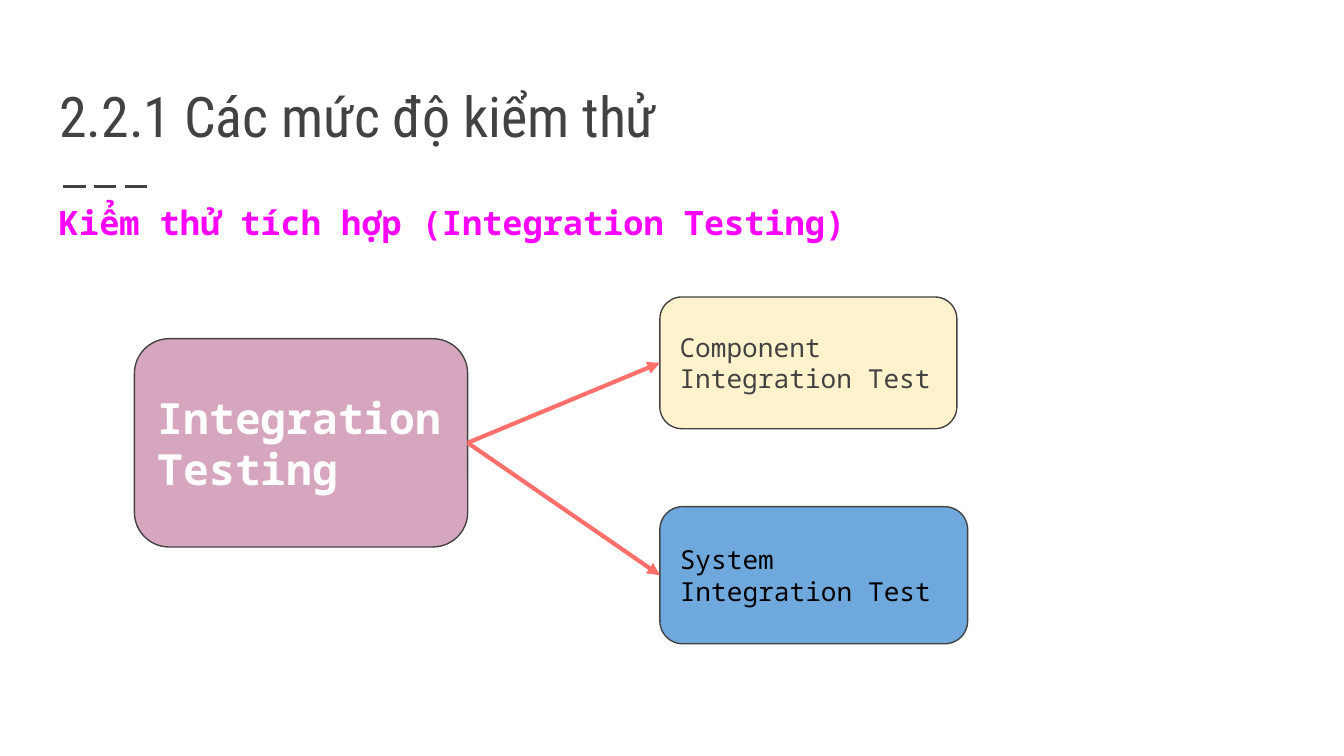
from lxml import etree
from pptx import Presentation
from pptx.dml.color import RGBColor
from pptx.enum.dml import MSO_LINE
from pptx.enum.shapes import MSO_CONNECTOR, MSO_SHAPE
from pptx.enum.text import MSO_ANCHOR, MSO_AUTO_SIZE, PP_ALIGN
from pptx.oxml.ns import qn
from pptx.util import Inches, Pt

STRAIGHT = MSO_CONNECTOR.STRAIGHT
ROUNDED = MSO_SHAPE.ROUNDED_RECTANGLE
LONG_DASH = MSO_LINE.LONG_DASH
TOP, MIDDLE, BOTTOM = MSO_ANCHOR.TOP, MSO_ANCHOR.MIDDLE, MSO_ANCHOR.BOTTOM
LEFT = PP_ALIGN.LEFT
NO_AUTOFIT = MSO_AUTO_SIZE.NONE

HEADING_FONT = "Roboto Condensed"
BODY_FONT = "Noto Sans Mono"
DARK = "424242"
CORAL = "FF706B"
LEFT_SIDE, RIGHT_SIDE = 1, 3


def rgb(value):
    """Turn a hex string into a colour."""
    return RGBColor.from_string(value)


def write_text(sp, text, size, color, anchor, font=BODY_FONT, bold=False):
    """Fill a shape with one left-aligned paragraph and return it."""
    tf = sp.text_frame
    tf.word_wrap = True
    tf.auto_size = NO_AUTOFIT
    tf.vertical_anchor = anchor
    tf.margin_left = tf.margin_right = Inches(0.1)
    tf.margin_top = tf.margin_bottom = Inches(0.1)
    p = tf.paragraphs[0]
    p.alignment = LEFT
    r = p.add_run()
    r.text = text
    r.font.name = font
    r.font.size = Pt(size)
    r.font.bold = bold
    r.font.color.rgb = rgb(color)
    return p


def set_title(s, text):
    """Place and format the title placeholder."""
    sp = s.shapes.title
    sp.left, sp.top = Inches(0.34), Inches(0.41)
    sp.width, sp.height = Inches(9.32), Inches(0.8)
    p = write_text(sp, text, 30, DARK, BOTTOM, font=HEADING_FONT)
    p.line_spacing = 1.0


def add_subtitle(s, text):
    """Add the highlighted line below the title."""
    sp = s.shapes.add_textbox(Inches(0.34), Inches(1.36), Inches(9.32), Inches(3.39))
    p = write_text(sp, text, 18, "FF00FF", TOP, bold=True)
    p.line_spacing = 1.15
    p.space_after = Pt(12)


def add_box(s, left, top, width, height, fill, text, size, color, bold=False):
    """Add a labelled rounded box."""
    sp = s.shapes.add_shape(
        ROUNDED, Inches(left), Inches(top), Inches(width), Inches(height)
    )
    sp.shadow.inherit = False
    sp.fill.solid()
    sp.fill.fore_color.rgb = rgb(fill)
    sp.line.color.rgb = rgb(DARK)
    sp.line.width = Pt(0.75)
    write_text(sp, text, size, color, MIDDLE, bold=bold)
    return sp


def add_line(s, x1, y1, x2, y2, color, width):
    """Add a straight line without a shadow."""
    line = s.shapes.add_connector(STRAIGHT, x1, y1, x2, y2)
    line.line.color.rgb = rgb(color)
    line.line.width = Pt(width)
    etree.SubElement(line._element.spPr, qn("a:effectLst"))
    return line


def add_arrow(s, source, target):
    """Join the right side of one box to the left side of another."""
    arrow = add_line(s, 0, 0, 0, 0, CORAL, 2.25)
    arrow.begin_connect(source, RIGHT_SIDE)
    arrow.end_connect(target, LEFT_SIDE)
    etree.SubElement(arrow.line._get_or_add_ln(), qn("a:tailEnd"), type="triangle")


def main():
    """Build the integration testing slide."""
    prs = Presentation()
    prs.slide_width = Inches(10)
    prs.slide_height = prs.slide_width * 9 // 16
    s = prs.slides.add_slide(prs.slide_layouts[5])

    rule = add_line(s, Inches(0.47), Inches(1.39), Inches(1.14), Inches(1.39), DARK, 1.5)
    rule.line.dash_style = LONG_DASH
    set_title(s, "2.2.1 Các mức độ kiểm thử")
    add_subtitle(s, "Kiểm thử tích hợp (Integration Testing)")

    integration = add_box(s, 1, 2.52, 2.48, 1.55, "D5A6BD",
                          "Integration Testing", 23, "FFFFFF", bold=True)
    component = add_box(s, 4.91, 2.21, 2.21, 0.98, "FFF2CC",
                        "Component Integration Test", 14, DARK)
    system = add_box(s, 4.91, 3.77, 2.29, 1.02, "6FA8DC",
                     "System Integration Test", 14, "000000")
    for test in (component, system):
        add_arrow(s, integration, test)

    prs.save("out.pptx")


if __name__ == "__main__":
    main()
